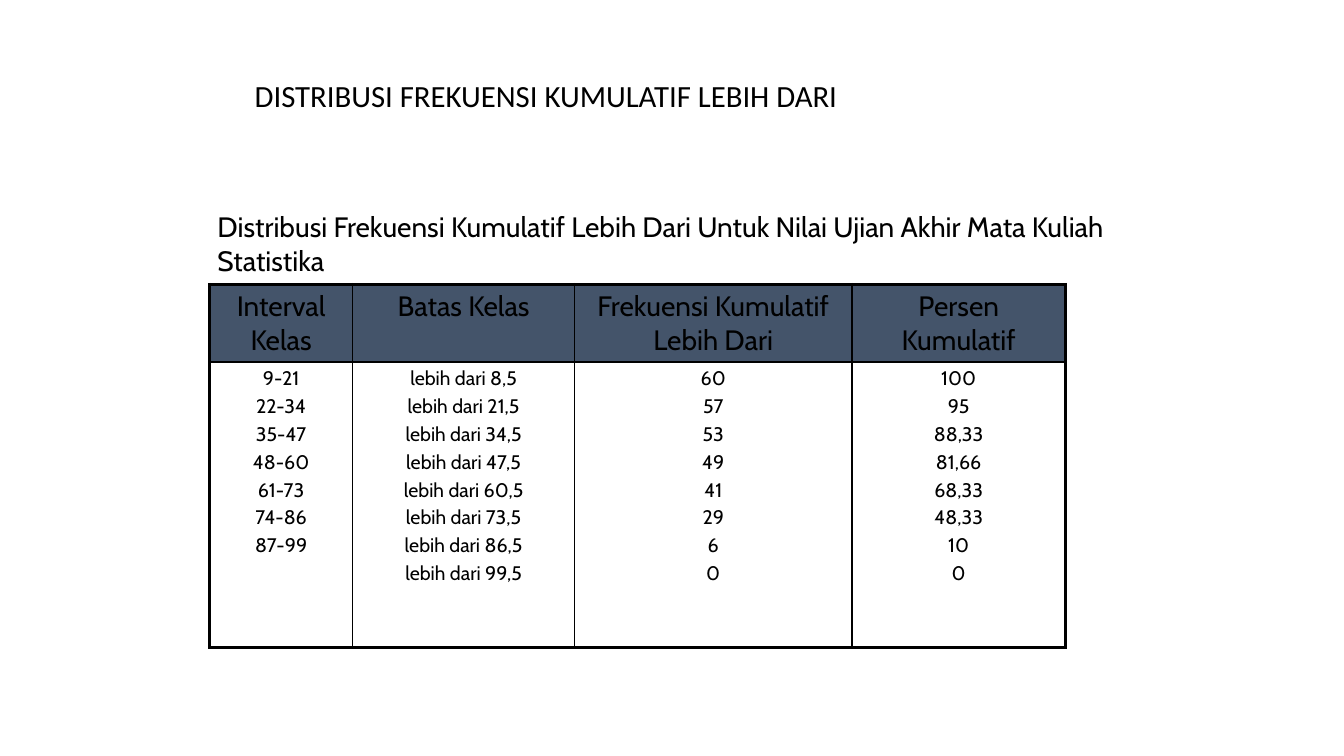
from lxml import etree
from pptx import Presentation
from pptx.dml.color import RGBColor
from pptx.enum.text import MSO_ANCHOR, PP_ALIGN
from pptx.oxml.ns import qn
from pptx.util import Cm, Pt

LEFT, CENTER = PP_ALIGN.LEFT, PP_ALIGN.CENTER
TOP, MIDDLE = MSO_ANCHOR.TOP, MSO_ANCHOR.MIDDLE
INK, NAVY = "000000", "44546A"
THIN, THICK = 1, 2.25

# Content
TITLE = "DISTRIBUSI FREKUENSI KUMULATIF LEBIH DARI"
CAPTION = ("Distribusi Frekuensi Kumulatif Lebih Dari Untuk "
           "Nilai Ujian Akhir Mata Kuliah Statistika")
HEADS = ["Interval Kelas", "Batas Kelas",
         "Frekuensi Kumulatif Lebih Dari", "Persen Kumulatif"]
LIMITS = ["8,5", "21,5", "34,5", "47,5", "60,5", "73,5", "86,5", "99,5"]
LISTS = [
    ["9-21", "22-34", "35-47", "48-60", "61-73", "74-86", "87-99"],
    [f"lebih dari {limit}" for limit in LIMITS],
    ["60", "57", "53", "49", "41", "29", "6", "0"],
    ["100", "95", "88,33", "81,66", "68,33", "48,33", "10", "0"],
]

# Sizes in cm
WIDTHS = [3.61, 5.59, 6.99, 5.38]
HEIGHTS = [1.96, 7.19]
TABLE_AT = (5.28, 7.16, sum(WIDTHS), sum(HEIGHTS))

# Text formats
HEAD = {"name": "Cabin", "size": Pt(20), "bold": False}
BODY = {**HEAD, "size": Pt(14)}
BOXES = [
    (TITLE, (6.17, 0.43, 21.64, 4.06), MIDDLE, 0.9,
     {"name": "Calibri", "size": Pt(22)}),
    (CAPTION, (5.23, 5.16, 24.41, 1.96), TOP, 1, HEAD),
]


def paint(color, code):
    color.rgb = RGBColor.from_string(code)


def write(frame, lines, style, align):
    for i, line in enumerate(lines):
        para = frame.add_paragraph() if i else frame.paragraphs[0]
        para.alignment = align
        if i:
            para.space_before = Pt(2.8)
        run = para.add_run()
        run.text = line
        for key, value in style.items():
            setattr(run.font, key, value)
        paint(run.font.color, INK)


def edge(cell, sides):
    """Draw the cell borders; they must come before the fill."""
    props = cell._tc.get_or_add_tcPr()
    for i, (side, width) in enumerate(sides.items()):
        line = etree.Element(qn(f"a:ln{side}"), w=str(Pt(width)))
        fill = etree.SubElement(line, qn("a:solidFill"))
        etree.SubElement(fill, qn("a:srgbClr"), val=INK)
        props.insert(i, line)


deck = Presentation()
deck.slide_width, deck.slide_height = Cm(33.87), Cm(19.05)
slide = deck.slides.add_slide(deck.slide_layouts[6])

# Title and caption
for text, place, anchor, space, style in BOXES:
    frame = slide.shapes.add_textbox(*map(Cm, place)).text_frame
    frame.word_wrap = True
    frame.vertical_anchor = anchor
    write(frame, [text], style, LEFT)
    frame.paragraphs[0].line_spacing = space

# Table
rows = [[[head] for head in HEADS], LISTS]
table = slide.shapes.add_table(
    len(rows), len(WIDTHS), *map(Cm, TABLE_AT)).table
table.first_row = table.horz_banding = False
for col, width in zip(table.columns, WIDTHS):
    col.width = Cm(width)
for row, height in zip(table.rows, HEIGHTS):
    row.height = Cm(height)

last_row, last_col = len(rows) - 1, len(WIDTHS) - 1
for r, row in enumerate(rows):
    for c, lines in enumerate(row):
        cell = table.cell(r, c)
        write(cell.text_frame, lines, BODY if r else HEAD, CENTER)
        if r:
            cell.fill.background()
        else:
            cell.fill.solid()
            paint(cell.fill.fore_color, NAVY)
        outer = {"L": c == 0, "R": c == last_col,
                 "T": r == 0, "B": r == last_row}
        edge(cell, {side: THICK if out else THIN
                    for side, out in outer.items()})

deck.save("out.pptx")
